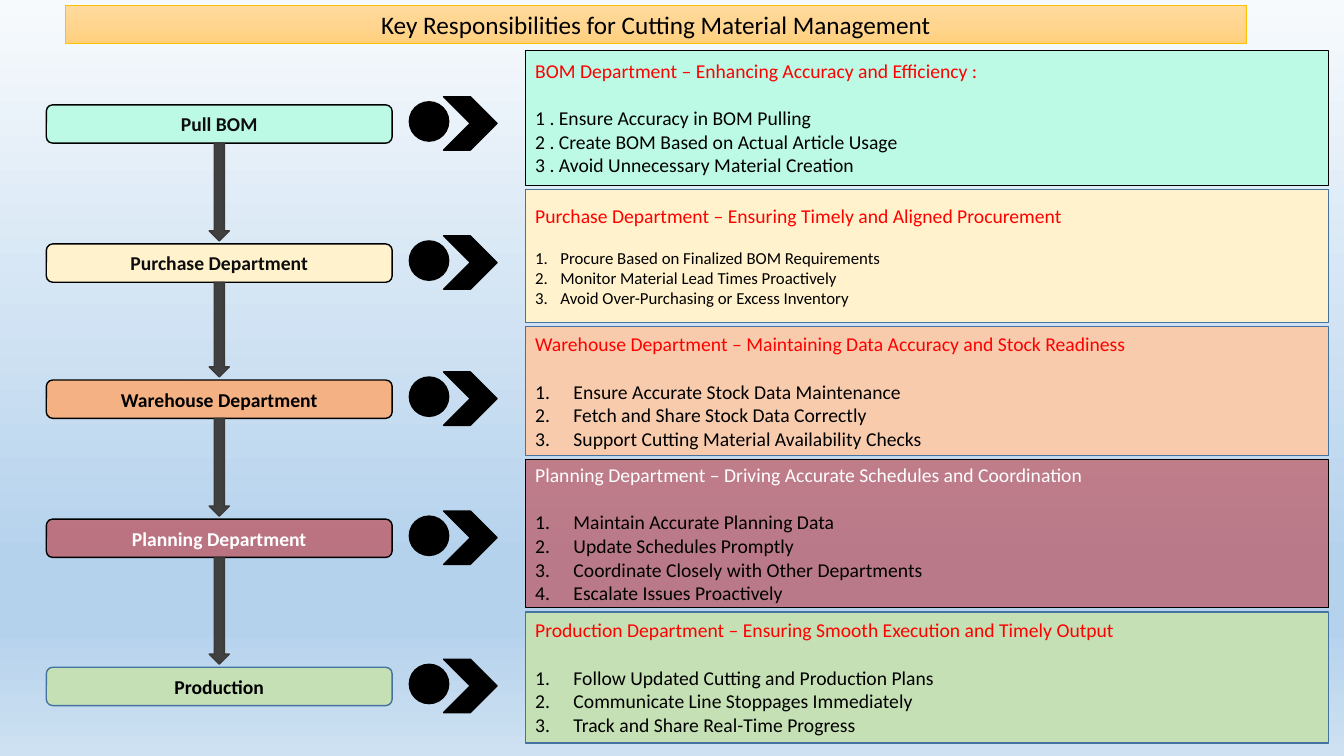
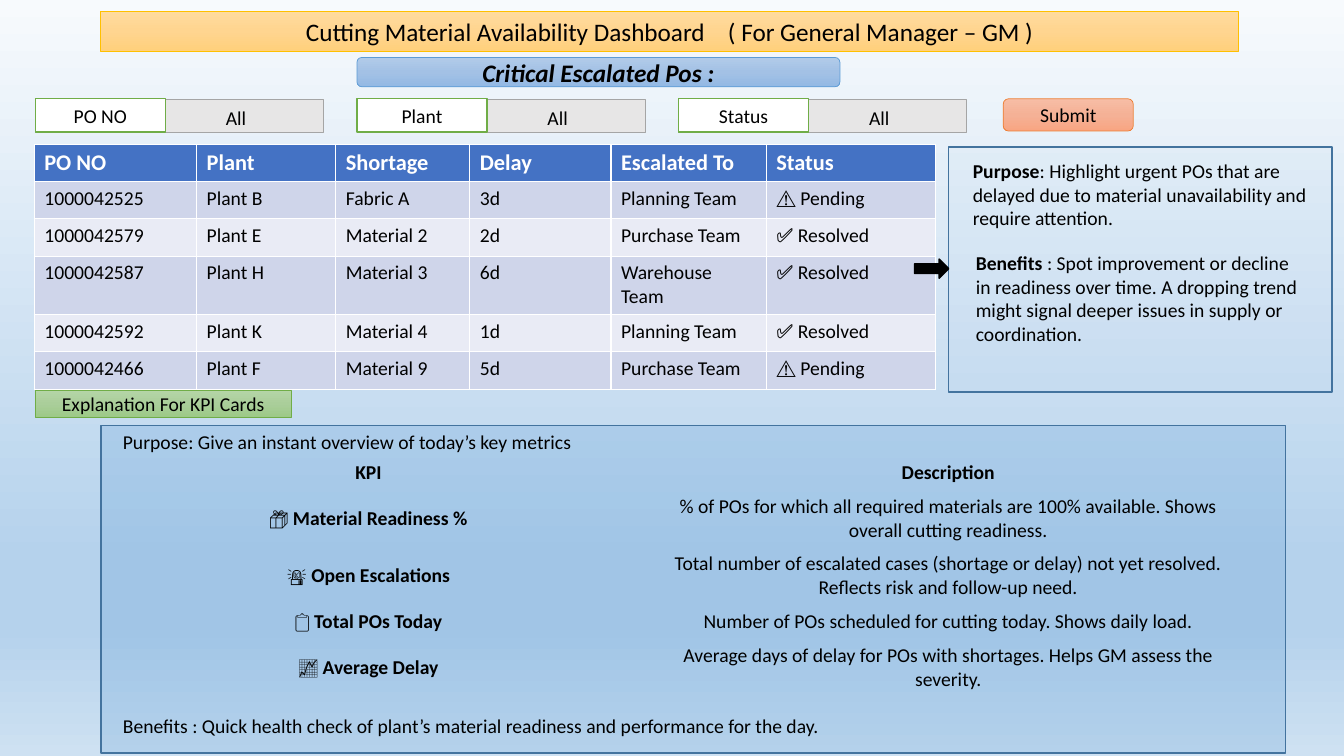
from collections import namedtuple
from itertools import pairwise

from lxml.etree import SubElement
from pptx import Presentation
from pptx.dml.color import RGBColor
from pptx.enum.shapes import MSO_SHAPE
from pptx.enum.text import MSO_ANCHOR, MSO_AUTO_SIZE, PP_ALIGN
from pptx.oxml.ns import qn
from pptx.util import Inches, Pt

FONT = "Calibri"
COLOURS = {
    "black": "000000", "ink": "0D0D0D", "white": "FFFFFF", "red": "FF0000",
    "mint": "BCFAE5", "cream": "FFF2CC", "orange": "F4B183", "peach": "F8CBAD",
    "wine": "C00000", "green": "C5E0B4", "navy": "43739E", "gold": "FFC000",
    "shaft": "404040", "shaft_line": "3B3838", "blue": "5B9BD5",
    "leaf": "70AD47", "rust": "ED7D31", "grey": "E7E6E6", "grey_line": "A5A5A5",
    "header": "4472C4", "band_dark": "CFD5EA", "band_light": "E9EBF5",
}
GRADIENTS = {
    "page": [(0, "F7FAFD"), (74, "B5D2EC"), (83, "B5D2EC"), (100, "CEE1F2")],
    "title": [(0, "FFDB9E"), (50, "FFD590"), (100, "FFD07C")],
    "heading": [(0, "B1CBE9"), (50, "A3C1E5"), (100, "93B9E4")],
    "tag": [(0, "B5D5A7"), (50, "AACE9A"), (100, "9CC987")],
    "button": [(0, "F7BDA5"), (50, "F5B196"), (100, "F8A582")],
}
NO_STYLE = "{2D5ABB26-0587-4C30-8999-92F81FD0307C}"

Box = namedtuple("Box", "left top width height")
Step = namedtuple("Step", "name top fill opacity line ink")
Panel = namedtuple("Panel", "heading height fill opacity line ink size indent items")

STEPS = [
    Step("Pull BOM", 1.04, "mint", 100, "black", "ink"),
    Step("Purchase Department", 2.42, "cream", 100, "black", "ink"),
    Step("Warehouse Department", 3.77, "orange", 100, "black", "black"),
    Step("Planning Department", 5.15, "wine", 45, "black", "white"),
    Step("Production", 6.62, "green", 100, "navy", "black"),
]
PANELS = [
    Panel("BOM Department – Enhancing Accuracy and Efficiency :",
          1.34, "mint", 100, "black", "red", 14, 0,
          ["1 . Ensure Accuracy in BOM Pulling",
           "2 . Create BOM Based on Actual Article Usage",
           "3 . Avoid Unnecessary Material Creation"]),
    Panel("Purchase Department – Ensuring Timely and Aligned Procurement",
          1.32, "cream", 100, "navy", "red", 12, 0.25,
          ["Procure Based on Finalized BOM Requirements",
           "Monitor Material Lead Times Proactively",
           "Avoid Over-Purchasing or Excess Inventory"]),
    Panel("Warehouse Department – Maintaining Data Accuracy and Stock Readiness",
          1.28, "peach", 100, "navy", "red", 14, 0.38,
          ["Ensure Accurate Stock Data Maintenance",
           "Fetch and Share Stock Data Correctly",
           "Support Cutting Material Availability Checks"]),
    Panel("Planning Department – Driving Accurate Schedules and Coordination",
          1.47, "wine", 42, "black", "white", 14, 0.38,
          ["Maintain Accurate Planning Data",
           "Update Schedules Promptly",
           "Coordinate Closely with Other Departments",
           "Escalate Issues Proactively"]),
    Panel("Production Department – Ensuring Smooth Execution and Timely Output",
          1.3, "green", 100, "navy", "red", 14, 0.38,
          ["Follow Updated Cutting and Production Plans",
           "Communicate Line Stoppages Immediately",
           "Track and Share Real-Time Progress"]),
]
ORDERS = [
    ["PO NO", "Plant", "Shortage", "Delay", "Escalated To", "Status"],
    ["1000042525", "Plant B", "Fabric A", "3d", "Planning Team", "⚠ Pending"],
    ["1000042579", "Plant E", "Material 2", "2d", "Purchase Team", "✅ Resolved"],
    ["1000042587", "Plant H", "Material 3", "6d", "Warehouse Team", "✅ Resolved"],
    ["1000042592", "Plant K", "Material 4", "1d", "Planning Team", "✅ Resolved"],
    ["1000042466", "Plant F", "Material 9", "5d", "Purchase Team", "⚠ Pending"],
]
KPIS = [
    ("📦 ", "Material Readiness %",
     "% of POs for which all required materials are 100% available. "
     "Shows overall cutting readiness."),
    ("🚨 ", "Open Escalations",
     "Total number of escalated cases (shortage or delay) not yet resolved. "
     "Reflects risk and follow-up need."),
    ("📋 ", "Total POs Today",
     "Number of POs scheduled for cutting today. Shows daily load."),
    ("📈 ", "Average Delay",
     "Average days of delay for POs with shortages. "
     "Helps GM assess the severity."),
]


def colour(name):
    """Return the named colour."""
    return RGBColor.from_string(COLOURS[name])


def inches(box):
    """Return the box as four lengths."""
    return [Inches(value) for value in box]


def paint_gradient(fill, element, name):
    """Fill from top to bottom with the named gradient."""
    fill.gradient()
    fill.gradient_angle = 270
    stops = element.find(".//" + qn("a:gsLst"))
    for stop in list(stops):
        stops.remove(stop)
    for position, value in GRADIENTS[name]:
        stop = SubElement(stops, qn("a:gs"), pos=str(position * 1000))
        SubElement(stop, qn("a:srgbClr"), val=value)


def paint(shape, fill, line, width=1, opacity=100):
    """Set the fill and outline of a shape."""
    if fill in GRADIENTS:
        paint_gradient(shape.fill, shape.element, fill)
    else:
        shape.fill.solid()
        shape.fill.fore_color.rgb = colour(fill)
    if opacity < 100:
        tone = shape.element.find(".//" + qn("a:srgbClr"))
        SubElement(tone, qn("a:alpha"), val=str(opacity * 1000))
    shape.line.color.rgb = colour(line)
    shape.line.width = Pt(width)


def add_span(para, text, size=14, ink="black", bold=False, italic=False):
    """Add one formatted run to a paragraph."""
    span = para.add_run()
    span.text = text
    font = span.font
    font.name, font.size, font.bold, font.italic = FONT, Pt(size), bold, italic
    font.color.rgb = colour(ink)
    return span


def add_block(page, kind, box, fill, line, width=1, opacity=100):
    """Add a preset shape without shadow."""
    shape = page.shapes.add_shape(kind, *inches(box))
    shape.shadow.inherit = False
    paint(shape, fill, line, width, opacity)
    frame = shape.text_frame
    frame.word_wrap = True
    frame.vertical_anchor = MSO_ANCHOR.MIDDLE
    return shape


def add_label(page, kind, box, text, fill, line, width=1, opacity=100, **style):
    """Add a shape with one centred line of text."""
    shape = add_block(page, kind, box, fill, line, width, opacity)
    para = shape.text_frame.paragraphs[0]
    para.alignment = PP_ALIGN.CENTER
    add_span(para, text, **style)
    return shape


def add_note(page, box, *spans):
    """Add a text box whose spans are pairs of text and boldness."""
    frame = page.shapes.add_textbox(*inches(box)).text_frame
    frame.word_wrap = True
    for text, bold in spans:
        add_span(frame.paragraphs[0], text, bold=bold)


def add_page(deck, box, *titles):
    """Add a slide with a title band, wide gaps between the title parts."""
    page = deck.slides.add_slide(deck.slide_layouts[5])
    title = page.shapes.title
    title.left, title.top, title.width, title.height = inches(box)
    paint(title, "title", "gold", 0.5)
    frame = title.text_frame
    frame.auto_size = MSO_AUTO_SIZE.NONE
    frame.vertical_anchor = MSO_ANCHOR.MIDDLE
    para = frame.paragraphs[0]
    para.alignment = PP_ALIGN.CENTER
    for index, text in enumerate(titles):
        if index:
            gap = add_span(para, " ", 18)
            gap.font._element.set("spc", "1220")
        add_span(para, text, 18)
    return page


def add_step(page, box, step):
    """Add a process step with its circle and chevron marker."""
    add_label(page, MSO_SHAPE.ROUNDED_RECTANGLE, box, step.name, step.fill,
              step.line, opacity=step.opacity, ink=step.ink, bold=True)
    right = box.left + box.width
    circle = Box(right + 0.17, box.top - 0.03, 0.39, 0.39)
    chevron = Box(right + 0.51, box.top - 0.08, 0.53, 0.53)
    add_block(page, MSO_SHAPE.OVAL, circle, "black", "black")
    add_block(page, MSO_SHAPE.CHEVRON, chevron, "black", "black")


def add_flow(page, left, width, height):
    """Add the column of steps joined by block arrows."""
    boxes = [Box(left, step.top, width, height) for step in STEPS]
    for box, step in zip(boxes, STEPS):
        add_step(page, box, step)
    for upper, lower in pairwise(boxes):
        start = upper.top + height
        arrow = Box(left + width / 2 - 0.1, start, 0.2, lower.top - start - 0.03)
        add_block(page, MSO_SHAPE.DOWN_ARROW, arrow, "shaft", "shaft_line")


def add_panel(page, box, panel):
    """Add a department panel with a heading and its list."""
    shape = add_block(page, MSO_SHAPE.RECTANGLE, box, panel.fill, panel.line,
                      opacity=panel.opacity)
    frame = shape.text_frame
    heading = frame.paragraphs[0]
    heading.alignment = PP_ALIGN.LEFT
    heading.space_after = Pt(panel.size * 1.22)
    add_span(heading, panel.heading, ink=panel.ink)
    for item in panel.items:
        para = frame.add_paragraph()
        para.alignment = PP_ALIGN.LEFT
        if panel.indent:
            layout = para._p.get_or_add_pPr()
            layout.set("marL", str(Inches(panel.indent)))
            layout.set("indent", str(-Inches(panel.indent)))
            SubElement(layout, qn("a:buAutoNum"), type="arabicPeriod")
        add_span(para, item, panel.size)


def add_grid(page, box, widths, heights):
    """Add a table with the given column widths and row heights."""
    frame = page.shapes.add_table(len(heights), len(widths), *inches(box))
    table = frame.table
    for column, width in zip(table.columns, widths):
        column.width = Inches(width)
    for row, height in zip(table.rows, heights):
        row.height = Inches(height)
    return table


def add_orders(page, box):
    """Add the table of escalated orders."""
    widths = [1.61, 1.38, 1.33, 1.4, 1.54, 1.68]
    table = add_grid(page, box, widths, [0.37, 0.37, 0.37, 0.58, 0.37, 0.37])
    for index, values in enumerate(ORDERS):
        band = "band_dark" if index % 2 else "band_light"
        style = {"size": 14}
        if index == 0:
            band = "header"
            style = {"size": 16, "ink": "white", "bold": True}
        for cell, text in zip(table.rows[index].cells, values):
            cell.fill.solid()
            cell.fill.fore_color.rgb = colour(band)
            add_span(cell.text_frame.paragraphs[0], text, **style)


def add_kpis(page, box):
    """Add the plain table that explains each KPI."""
    table = add_grid(page, box, [box.width / 2] * 2, [0.34, 0.57, 0.57, 0.34, 0.57])
    table._tbl.tblPr.find(qn("a:tableStyleId")).text = NO_STYLE
    rows = [([("KPI", True)], [("Description", True)])]
    rows += [([(icon, False), (name, True)], [(text, False)])
             for icon, name, text in KPIS]
    for row, contents in zip(table.rows, rows):
        for cell, spans in zip(row.cells, contents):
            cell.vertical_anchor = MSO_ANCHOR.MIDDLE
            para = cell.text_frame.paragraphs[0]
            para.alignment = PP_ALIGN.CENTER
            for text, bold in spans:
                add_span(para, text, bold=bold)


def add_filter(page, box, name):
    """Add a filter field with its name over the left part."""
    field = add_label(page, MSO_SHAPE.RECTANGLE, box, "All", "grey", "grey_line", 0.5)
    field.text_frame.margin_left = Inches(1.22)
    field.text_frame.margin_top = Inches(0.09)
    label = Box(box.left, box.top - 0.01, 1.29, 0.33)
    add_label(page, MSO_SHAPE.RECTANGLE, label, name, "white", "leaf")


def build_responsibilities(deck):
    """Build the slide of department responsibilities."""
    page = add_page(deck, Box(0.65, 0.05, 11.71, 0.38),
                    "Key Responsibilities for Cutting Material Management")
    add_flow(page, 0.46, 3.43, 0.38)
    top = 0.5
    for panel in PANELS:
        add_panel(page, Box(5.21, top, 7.97, panel.height), panel)
        top += panel.height + 0.04


def build_dashboard(deck):
    """Build the dashboard slide."""
    page = add_page(deck, Box(1, 0.11, 11.28, 0.4),
                    "Cutting Material Availability Dashboard",
                    "( For General Manager – GM )")
    add_label(page, MSO_SHAPE.ROUNDED_RECTANGLE, Box(3.54, 0.57, 4.79, 0.29),
              "Critical Escalated Pos :", "heading", "blue", 0.5,
              size=18, bold=True, italic=True)
    for index, name in enumerate(["PO NO", "Plant", "Status"]):
        add_filter(page, Box(0.35 + 3.19 * index, 0.99, 2.86, 0.32), name)
    add_label(page, MSO_SHAPE.ROUNDED_RECTANGLE, Box(9.95, 0.98, 1.29, 0.32),
              "Submit", "button", "rust", 0.5)
    add_orders(page, Box(0.34, 1.43, 8.94, 2.43))
    add_block(page, MSO_SHAPE.RECTANGLE, Box(9.41, 1.46, 3.8, 2.43),
              "blue", "navy", opacity=3)
    add_note(page, Box(9.55, 1.53, 3.53, 0.81), ("Purpose", True),
             (": Highlight urgent POs that are delayed due to material "
              "unavailability and require attention.", False))
    add_note(page, Box(9.58, 2.44, 3.49, 1.04), ("Benefits ", True),
             (": Spot improvement or decline in readiness over time. A dropping "
              "trend might signal deeper issues in supply or coordination.", False))
    add_block(page, MSO_SHAPE.RIGHT_ARROW, Box(9.07, 2.57, 0.34, 0.19), "black", "black")
    add_label(page, MSO_SHAPE.RECTANGLE, Box(0.35, 3.87, 2.54, 0.27),
              "Explanation For KPI Cards", "tag", "leaf", 0.5)
    add_block(page, MSO_SHAPE.RECTANGLE, Box(1, 4.22, 11.75, 3.25),
              "blue", "navy", opacity=22)
    add_note(page, Box(1.12, 4.22, 9.32, 0.34),
             ("Purpose: Give an instant overview of today’s key metrics", False))
    add_kpis(page, Box(0.78, 4.52, 11.5, 2.39))
    add_note(page, Box(1.12, 7.03, 9.32, 0.34),
             ("Benefits : Quick health check of plant’s material readiness "
              "and performance for the day.", False))


def main():
    """Build and save the deck."""
    deck = Presentation()
    deck.slide_width, deck.slide_height = Inches(13.33), Inches(7.5)
    master = deck.slide_master
    paint_gradient(master.background.fill, master.element, "page")
    build_responsibilities(deck)
    build_dashboard(deck)
    deck.save("out.pptx")


if __name__ == "__main__":
    main()
